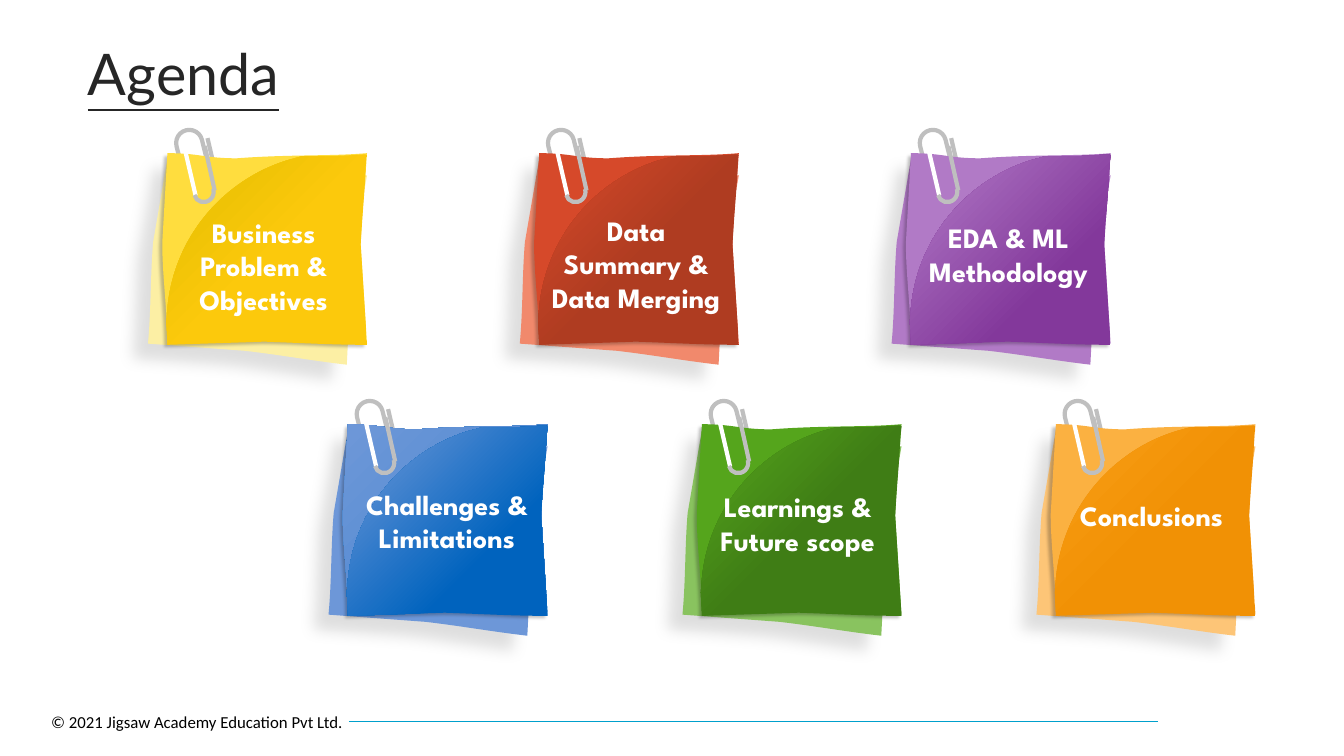
import dataclasses
import typing

import lxml.etree
import pptx
import pptx.dml.color
import pptx.enum.shapes
import pptx.enum.text
import pptx.oxml.ns
import pptx.util

Cm = pptx.util.Cm
Pt = pptx.util.Pt
qn = pptx.oxml.ns.qn
Stops = tuple[tuple[int, str], ...]
Route = tuple[tuple[float, ...], ...]


@dataclasses.dataclass(frozen=True)
class Theme:
    ink: str = "262626"
    black: str = "000000"
    white: str = "FFFFFF"
    wire: str = "BFBFBF"
    rule: str = "00A0CC"
    head: str = "Lato"
    note: str = "League Spartan"
    foot: str = "Calibri"
    head_size: float = 41
    note_size: float = 20
    foot_size: float = 12
    wire_size: float = 3
    rule_size: float = 0.75


@dataclasses.dataclass(frozen=True)
class Shade:
    alpha: int
    blur: float
    dist: float


@dataclasses.dataclass(frozen=True)
class Note:
    text: str
    row: int
    col: int
    box: tuple[float, float, float, float]
    back: str
    front: Stops
    gloss: Stops


THEME = Theme()
BACK_SHADE = Shade(12, 11, 15)
FRONT_SHADE = Shade(24, 2, 3)
ROWS = ((4.09, 3.86, 9.37), (8.64, 10.69, 8.92))

BACK: Route = (
    (0.15, 0.03), (0.97, 0.1, 1.07, 0.25, 1.88, 0.33),
    (3.18, 0.36, 4.29, 0.51, 5.16, 0.56), (5.03, 1.3, 4.93, 1.78, 4.78, 2.79),
    (4.65, 5.33), (3.78, 5.23, 2.95, 5.08, 2.08, 4.98), (-0.36, 4.8),
    (-0.28, 3.96, -0.3, 3.07, -0.23, 2.24),
)
FRONT: Route = (
    (0.13, 0), (0.94, 0, 1.07, 0.13, 1.88, 0.13),
    (3.18, 0.03, 4.29, 0.08, 5.16, 0), (5.11, 0.76, 5.05, 1.24, 5, 2.29),
    (5.16, 4.8), (4.29, 4.8, 3.45, 4.72, 2.57, 4.72), (0.13, 4.8),
    (0.13, 3.96, 0, 3.1, 0, 2.26),
)
GLOSS: Route = (
    (5.11, 0.03), (5.16, 0.05), (5.13, 0.3), (5.11, 0.91, 5.05, 1.4, 5, 2.31),
    (5.16, 4.83), (4.29, 4.83, 3.45, 4.78, 2.57, 4.75), (0.13, 4.83),
    (0.13, 4.78), (0.1, 4.24), (0.13, 3.89), (0.3, 2.13, 1.52, 0.69, 3.15, 0.18),
    (3.51, 0.08), (3.68, 0.08), (4.09, 0.08, 4.47, 0.08, 4.83, 0.05),
)

NOTES = (
    Note("Business Problem & Objectives", 0, 0, (0.13, 1.42, 4.85, 2.82), "FCEFA4",
         ((0, "FFDD3E"),), ((1, "E2BC00"), (53, "FCC90C"))),
    Note("Data Summary & Data Merging", 0, 1, (0.18, 1.37, 4.78, 2.82), "F1896C",
         ((0, "D6492A"),), ((3, "D6492A"), (53, "AF3C21"))),
    Note("EDA & ML Methodology", 0, 2, (0.2, 1.57, 4.78, 1.96), "B17AC6",
         ((0, "B17AC6"),), ((3, "B17AC6"), (69, "83389B"))),
    Note("Challenges & Limitations", 1, 0, (0.23, 1.45, 4.78, 1.96), "6D97D8",
         ((3, "6D97D8"), (60, "548BD2"), (100, "0063BE")),
         ((3, "6D97D8"), (69, "0063BE"))),
    Note("Learnings & Future scope", 1, 1, (0.15, 1.52, 4.78, 1.96), "89C35F",
         ((0, "55A51C"),), ((3, "55A51C"), (53, "3F7D15"))),
    Note("Conclusions", 1, 2, (0.15, 1.73, 4.78, 1.12), "FDC577",
         ((0, "FBB141"),), ((0, "FA9E16"), (54, "F19105"))),
)


def put(item: typing.Any, **vals: typing.Any) -> None:
    for key, val in vals.items():
        setattr(item, key, val)


def tint(code: str) -> pptx.dml.color.RGBColor:
    return pptx.dml.color.RGBColor.from_string(code)


def add(root: typing.Any, tag: str, **vals: typing.Any) -> typing.Any:
    return lxml.etree.SubElement(root, qn(tag), {k: str(v) for k, v in vals.items()})


def curve(shape: typing.Any, form: Route) -> None:
    legs = iter(shape._element.spPr.findall(".//" + qn("a:lnTo")))
    for part in form[1:]:
        group = [next(legs) for _ in range(len(part) // 2)]
        if len(group) == 3:
            group[0].tag = qn("a:cubicBezTo")
            for leg in group[1:]:
                group[0].append(leg[0])
                leg.getparent().remove(leg)


def paint(shape: typing.Any, stops: Stops) -> None:
    if len(stops) == 1:
        shape.fill.solid()
        shape.fill.fore_color.rgb = tint(stops[0][1])
        return
    shape.fill.gradient()
    grad = shape._element.spPr.find(qn("a:gradFill"))
    for child in list(grad):
        grad.remove(child)
    chain = add(grad, "a:gsLst")
    for place, code in stops:
        add(add(chain, "a:gs", pos=place * 1000), "a:srgbClr", val=code)
    glow = add(grad, "a:path", path="circle")
    add(glow, "a:fillToRect", r=100000, b=100000)


def sheet(slide: typing.Any, x: float, y: float, form: Route, stops: Stops,
          shade: Shade | None = None) -> None:
    dots = [(Cm(x + part[i]), Cm(y + part[i + 1]))
            for part in form for i in range(0, len(part), 2)]
    pen = slide.shapes.build_freeform(*dots[0])
    pen.add_line_segments(dots[1:], close=True)
    shape = pen.convert_to_shape()
    curve(shape, form)
    paint(shape, stops)
    shape.line.fill.background()
    shape.shadow.inherit = False
    if shade:
        fx = shape._element.spPr.find(qn("a:effectLst"))
        drop = add(fx, "a:outerShdw", blurRad=Pt(shade.blur), dist=Pt(shade.dist),
                   dir=135 * 60000, algn="tr", rotWithShape=0)
        add(add(drop, "a:srgbClr", val=THEME.black), "a:alpha", val=shade.alpha * 1000)


def line(slide: typing.Any, ends: tuple[float, ...], code: str, size: float) -> None:
    rod = slide.shapes.add_connector(
        pptx.enum.shapes.MSO_CONNECTOR.STRAIGHT, *(Cm(end) for end in ends))
    rod.line.color.rgb = tint(code)
    rod.line.width = Pt(size)
    add(rod._element.spPr, "a:effectLst")


def bend(slide: typing.Any, kind: typing.Any, box: tuple[float, ...], turn: float,
         shifts: tuple[float, ...]) -> None:
    shape = slide.shapes.add_shape(kind, *(Cm(side) for side in box))
    shape.rotation = turn
    for index, shift in enumerate(shifts):
        shape.adjustments[index] = shift
    shape.fill.background()
    shape.line.color.rgb = tint(THEME.wire)
    shape.line.width = Pt(THEME.wire_size)
    shape.shadow.inherit = False


def write(shape: typing.Any, text: str, code: str, align: typing.Any = None,
          gap: float | None = None, **face: typing.Any) -> None:
    frame = shape.text_frame
    put(frame, word_wrap=True, text=text,
        vertical_anchor=pptx.enum.text.MSO_ANCHOR.MIDDLE)
    para = frame.paragraphs[0]
    put(para, alignment=align or pptx.enum.text.PP_ALIGN.LEFT, line_spacing=gap)
    font = para.runs[0].font
    put(font, **face)
    font.color.rgb = tint(code)


def draw(slide: typing.Any, note: Note) -> None:
    left, y, step = ROWS[note.row]
    x = left + step * note.col
    kinds = pptx.enum.shapes.MSO_SHAPE

    def wire(x1: float, y1: float, x2: float, y2: float, code: str) -> None:
        line(slide, (x + x1, y + y1, x + x2, y + y2), code, THEME.wire_size)

    wire(1.14, -0.38, 1.4, 0.74, THEME.wire)
    bend(slide, kinds.ROUNDED_RECTANGLE, (x + 0.53, y - 0.61, 0.66, 2.16), 346.1, (0.5,))
    sheet(slide, x, y, BACK, ((0, note.back),), BACK_SHADE)
    sheet(slide, x, y, FRONT, note.front, FRONT_SHADE)
    sheet(slide, x, y, GLOSS, note.gloss)
    wire(0.58, -0.05, 0.84, 1.07, THEME.white)
    bend(slide, kinds.ARC, (x + 0.81, y + 0.74, 0.48, 0.5), 45.7, (294 * 0.6, 119 * 0.6))
    wire(1.07, -0.18, 1.32, 0.94, THEME.wire)
    dx, dy, wide, high = note.box
    label = slide.shapes.add_textbox(Cm(x + dx), Cm(y + dy), Cm(wide), Cm(high))
    write(label, note.text, THEME.white, pptx.enum.text.PP_ALIGN.CENTER,
          name=THEME.note, size=Pt(THEME.note_size), bold=True)


def main() -> None:
    deck = pptx.Presentation()
    put(deck, slide_width=Cm(33.87), slide_height=Cm(19.05))
    slide = deck.slides.add_slide(deck.slide_layouts[5])
    line(slide, (8.79, 18.19, 29.18, 18.19), THEME.rule, THEME.rule_size)
    foot = slide.shapes.add_textbox(Cm(1.04), Cm(17.81), Cm(7.95), Cm(0.76))
    write(foot, "© 2021 Jigsaw Academy Education Pvt Ltd.", THEME.black,
          name=THEME.foot, size=Pt(THEME.foot_size))
    title = slide.shapes.title
    put(title, left=Cm(1.96), top=Cm(1.04), width=Cm(29.62), height=Cm(1.78))
    write(title, "Agenda", THEME.ink, gap=0.9, name=THEME.head,
          size=Pt(THEME.head_size), underline=True)
    for note in NOTES:
        draw(slide, note)
    deck.save("out.pptx")


if __name__ == "__main__":
    main()
